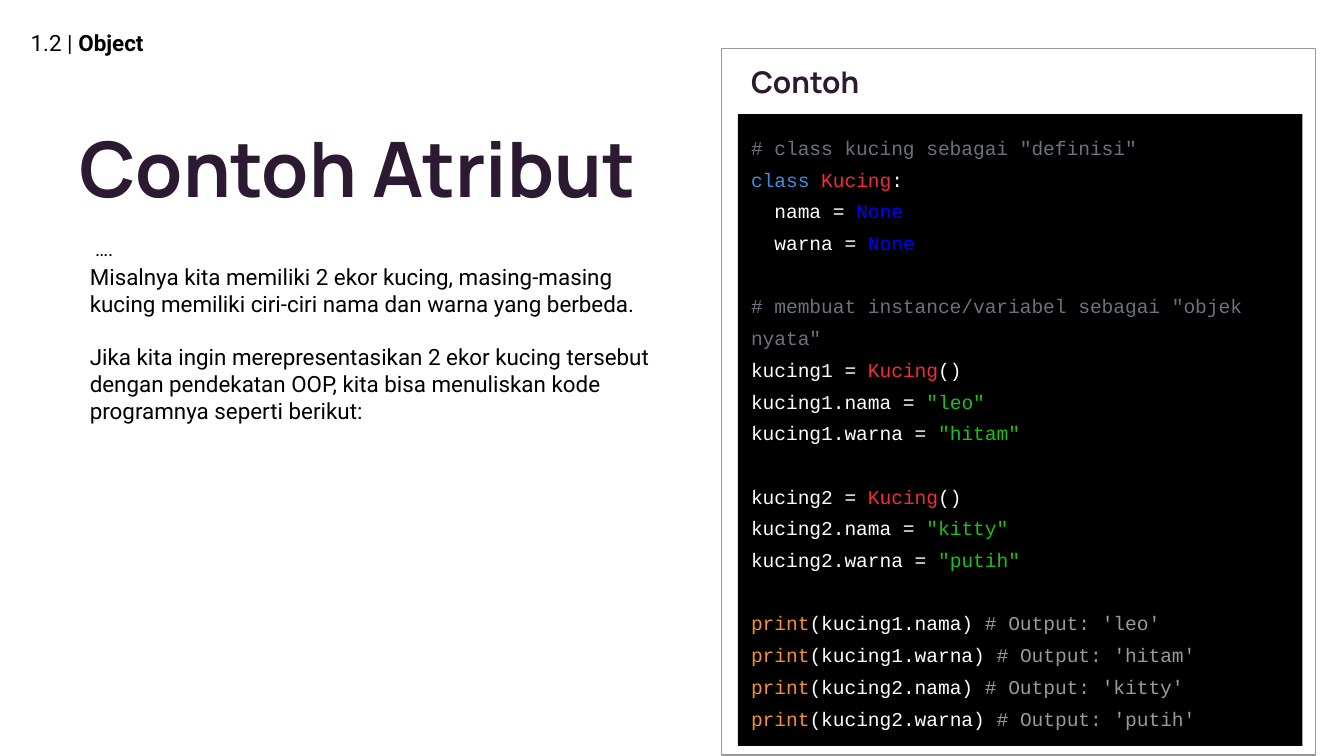
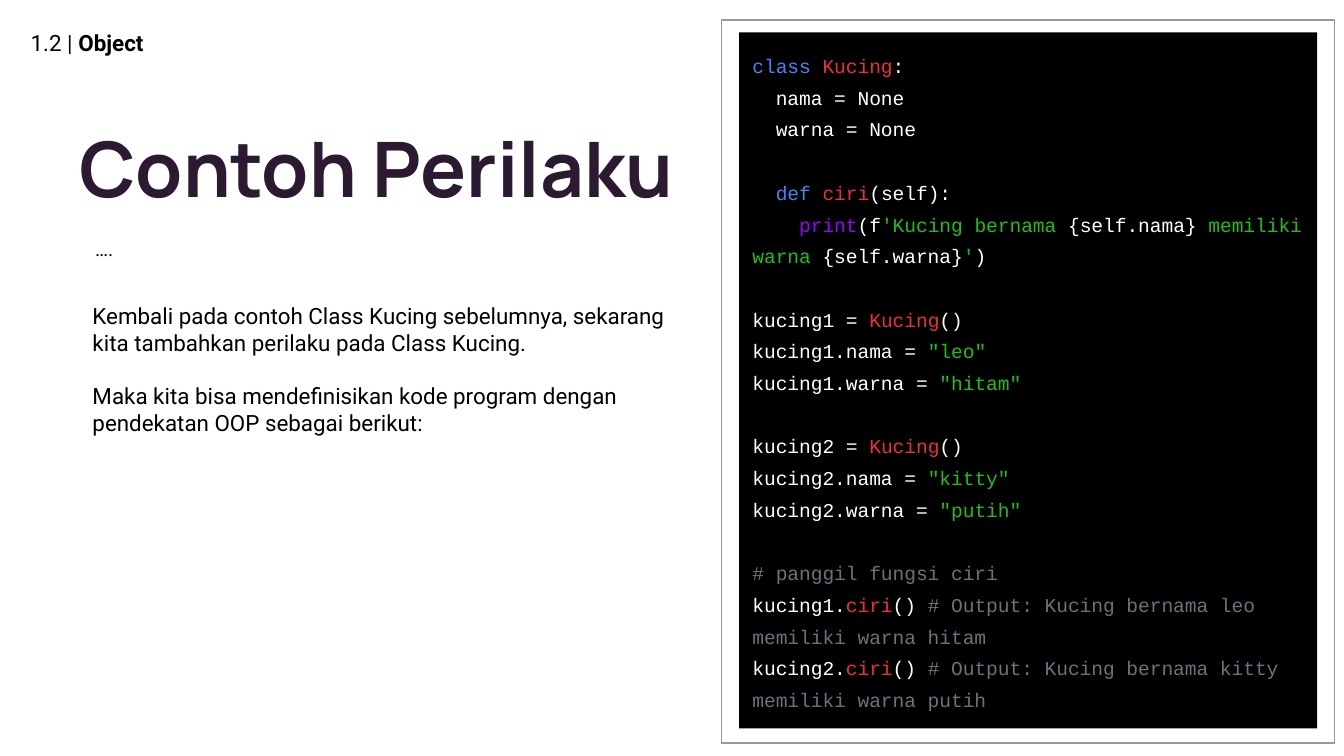
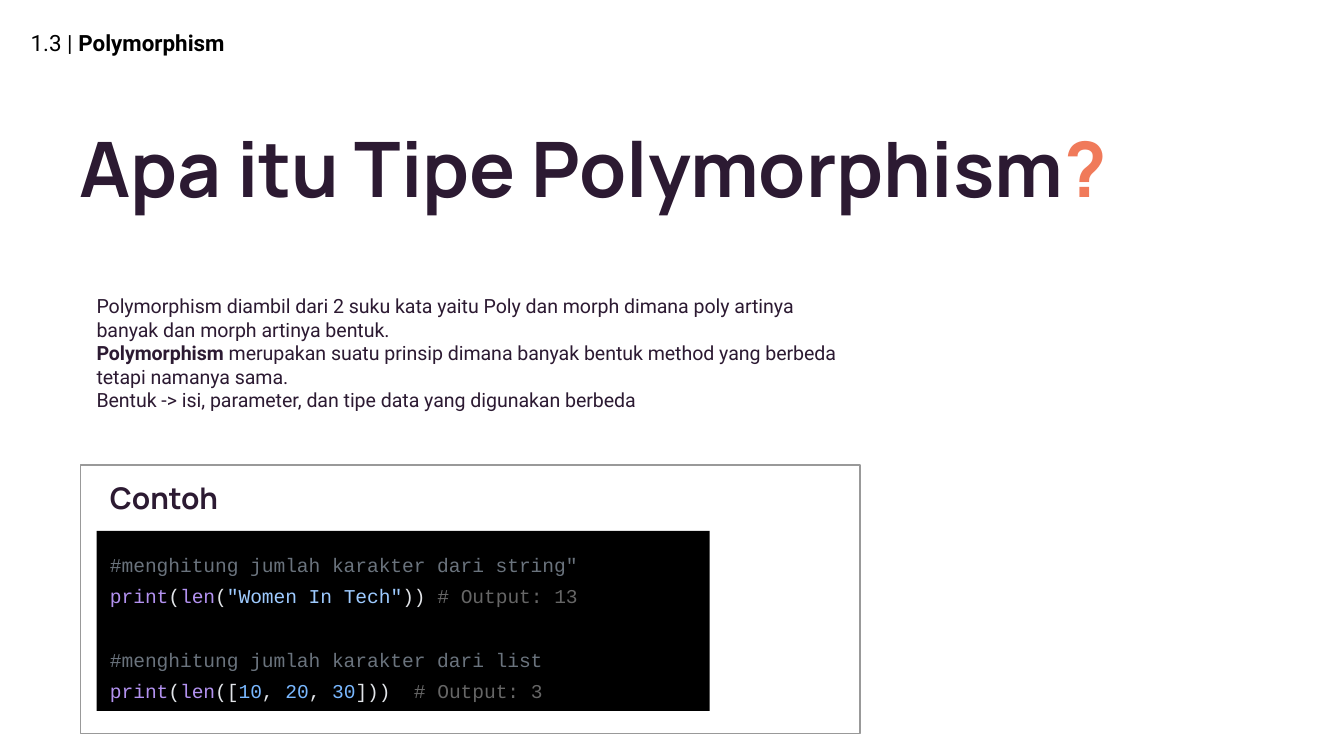
"""Build three lesson slides on objects and polymorphism with code panels."""
from dataclasses import dataclass, field
from typing import NamedTuple

from pptx import Presentation
from pptx import util as u
from pptx.dml.color import RGBColor
from pptx.enum import shapes, text


@dataclass(frozen=True)
class Theme:
    heading_font: str = "Manrope"
    body_font: str = "Roboto"
    code_font: str = "Courier New"
    title_size: float = 41
    panel_size: float = 16
    body_size: float = 12
    small_size: float = 10.5
    heading_spacing: float = 0.8
    code_spacing: float = 1.35
    body_gap: float = 14
    code_gap: float = 17
    ink: str = "2C1A32"
    accent: str = "F07A5A"
    black: str = "000000"
    white: str = "FFFFFF"
    border: str = "999999"
    comment: str = "6A737D"
    output: str = "999999"
    dim_output: str = "666666"
    keyword: str = "428BDD"
    keyword_bright: str = "4285F4"
    name: str = "F22C3D"
    constant: str = "0000FF"
    string: str = "1DC116"
    call: str = "F79323"
    call_violet: str = "9900FF"
    call_lilac: str = "B392F0"
    pale: str = "E1E4E8"
    pale_string: str = "9ECBFF"
    number: str = "79B8FF"


THEME = Theme()


class Span(NamedTuple):
    text: str
    color: str | None = None
    bold: bool = False


class Box(NamedTuple):
    left: float
    top: float
    width: float
    height: float

    def lengths(self) -> list[u.Length]:
        return [u.Inches(value) for value in self]


Line = list[Span]
GAP: Line = []


@dataclass
class Panel:
    frame: Box
    code_box: Box
    code: list[Line]
    heading: str = ""


@dataclass
class Lesson:
    number: str
    topic: str
    title: Line
    title_width: float
    body: list[Line]
    body_box: Box
    panel: Panel
    body_style: dict = field(default_factory=dict)
    lead: str = ""


def write(box, lines: list[Line], *, font: str = THEME.body_font, size: float = THEME.body_size,
          color: str = THEME.black, bold: bool = False, spacing: float | None = None,
          gap: float = THEME.body_gap, align=text.PP_ALIGN.LEFT, anchor=text.MSO_ANCHOR.TOP) -> None:
    """Fill a box with lines of spans; a GAP becomes space before the next line."""
    frame = box.text_frame
    frame.word_wrap = True
    frame.auto_size = text.MSO_AUTO_SIZE.NONE
    frame.vertical_anchor = anchor
    frame.margin_left = frame.margin_right = frame.margin_top = frame.margin_bottom = u.Inches(0.1)
    para, space = None, 0.0
    for line in lines:
        if not line:
            space = gap
            continue
        para = frame.add_paragraph() if para is not None else frame.paragraphs[0]
        para.alignment = align
        para.space_before = u.Pt(space)
        space = 0.0
        if spacing:
            para.line_spacing = spacing
        for part in line:
            span = para.add_run()
            span.text = part.text
            span.font.name = font
            span.font.size = u.Pt(size)
            span.font.bold = bold or part.bold
            span.font.color.rgb = RGBColor.from_string(part.color or color)


def add_text(page, box: Box, lines: list[Line], **style) -> None:
    """Add a text box."""
    write(page.shapes.add_textbox(*box.lengths()), lines, **style)


def add_rectangle(page, box: Box, *, fill: str | None = None, line: str | None = None):
    """Add a flat rectangle."""
    rectangle = page.shapes.add_shape(shapes.MSO_SHAPE.RECTANGLE, *box.lengths())
    rectangle.shadow.inherit = False
    if fill:
        rectangle.fill.solid()
        rectangle.fill.fore_color.rgb = RGBColor.from_string(fill)
    else:
        rectangle.fill.background()
    if line:
        rectangle.line.color.rgb = RGBColor.from_string(line)
        rectangle.line.width = u.Pt(0.75)
    else:
        rectangle.line.fill.background()
    return rectangle


def add_panel(page, panel: Panel) -> None:
    """Add a framed code listing with its optional heading."""
    add_rectangle(page, panel.frame, line=THEME.border)
    if panel.heading:
        heading_box = Box(panel.code_box.left, panel.frame.top, panel.code_box.width, 0.54)
        add_text(page, heading_box, [[Span(panel.heading)]], font=THEME.heading_font,
                 size=THEME.panel_size, color=THEME.ink, bold=True,
                 spacing=THEME.heading_spacing, anchor=text.MSO_ANCHOR.MIDDLE)
    listing = add_rectangle(page, panel.code_box, fill=THEME.black)
    write(listing, panel.code, font=THEME.code_font, size=THEME.small_size, color=THEME.white,
          spacing=THEME.code_spacing, gap=THEME.code_gap)


def add_lesson(deck, lesson: Lesson) -> None:
    """Add one lesson slide."""
    page = deck.slides.add_slide(deck.slide_layouts[5])
    title = page.shapes.title
    title.left, title.top, title.width, title.height = Box(0.49, 0.52, lesson.title_width, 1.57).lengths()
    write(title, [lesson.title], font=THEME.heading_font, size=THEME.title_size, color=THEME.ink,
          bold=True, spacing=THEME.heading_spacing, anchor=text.MSO_ANCHOR.MIDDLE)
    add_text(page, Box(0.13, 0.07, 4.56, 0.5),
             [[Span(f"{lesson.number} |"), Span(f" {lesson.topic}", bold=True)]],
             anchor=text.MSO_ANCHOR.MIDDLE)
    if lesson.lead:
        add_text(page, Box(0.61, 1.66, 5.76, 0.38), [[Span(lesson.lead)]],
                 size=THEME.small_size, align=text.PP_ALIGN.JUSTIFY)
    add_text(page, lesson.body_box, lesson.body, **lesson.body_style)
    add_panel(page, lesson.panel)


def class_line(keyword_color: str) -> Line:
    """Return the line that opens the class."""
    return [Span("class ", keyword_color), Span("Kucing", THEME.name), Span(":")]


def make_cat(variable: str, name: str, coat: str) -> list[Line]:
    """Return the code that creates one cat, followed by a gap."""
    return [
        [Span(f"{variable} = "), Span("Kucing", THEME.name), Span("()")],
        [Span(f"{variable}.nama = "), Span(f'"{name}"', THEME.string)],
        [Span(f"{variable}.warna = "), Span(f'"{coat}"', THEME.string)],
        GAP,
    ]


def print_value(value: str, output: str) -> Line:
    """Return a print call with its output comment."""
    return [Span("print", THEME.call), Span(f"({value}) "),
            Span(f"# Output: '{output}'", THEME.output)]


def call_method(variable: str, output: str) -> Line:
    """Return a method call with its output comment."""
    return [Span(f"{variable}."), Span("ciri", THEME.name), Span("() "),
            Span(f"# Output: {output}", THEME.comment)]


def print_length(argument: Line, closing: str, output: str) -> Line:
    """Return a call that prints a length."""
    return [Span("print", THEME.call_lilac), Span("(", THEME.pale), Span("len", THEME.call_lilac),
            *argument, Span(closing, THEME.pale), Span(f"# Output: {output}", THEME.dim_output)]


CATS = [*make_cat("kucing1", "leo", "hitam"), *make_cat("kucing2", "kitty", "putih")]

ATTRIBUTE_CODE = [
    [Span('# class kucing sebagai "definisi"', THEME.comment)],
    class_line(THEME.keyword),
    *[[Span(f"  {attribute} = "), Span("None", THEME.constant)] for attribute in ("nama", "warna")],
    GAP,
    [Span('# membuat instance/variabel sebagai "objek nyata"', THEME.comment)],
    *CATS,
    print_value("kucing1.nama", "leo"),
    print_value("kucing1.warna", "hitam"),
    print_value("kucing2.nama", "kitty"),
    print_value("kucing2.warna", "putih"),
]

BEHAVIOUR_CODE = [
    class_line(THEME.keyword_bright),
    [Span("  nama = None")],
    [Span("  warna = None")],
    GAP,
    [Span("  "), Span("def ", THEME.keyword_bright), Span("ciri", THEME.name), Span("(self):")],
    [Span("    "), Span("print", THEME.call_violet), Span("(f"),
     Span("'Kucing bernama ", THEME.string), Span("{self.nama}"),
     Span(" memiliki warna ", THEME.string), Span("{self.warna}"),
     Span("'", THEME.string), Span(")")],
    GAP,
    *CATS,
    [Span("# panggil fungsi ciri", THEME.comment)],
    call_method("kucing1", "Kucing bernama leo memiliki warna hitam"),
    call_method("kucing2", "Kucing bernama kitty memiliki warna putih"),
]

LENGTH_CODE = [
    [Span('#menghitung jumlah karakter dari string"', THEME.comment)],
    print_length([Span("(", THEME.pale), Span('"Women In Tech"', THEME.pale_string)], ")) ", "13"),
    GAP,
    [Span("#menghitung jumlah karakter dari list", THEME.comment)],
    print_length([Span("([", THEME.pale), Span("10", THEME.number), Span(", ", THEME.pale),
                  Span("20", THEME.number), Span(", ", THEME.pale), Span("30", THEME.number)],
                 "]))  ", "3"),
]

LESSONS = [
    Lesson(
        "1.2", "Object", [Span("Contoh Atribut")], 7.6,
        [[Span("Misalnya kita memiliki 2 ekor kucing, masing-masing kucing memiliki "
               "ciri-ciri nama dan warna yang berbeda.")],
         GAP,
         [Span("Jika kita ingin merepresentasikan 2 ekor kucing tersebut dengan pendekatan OOP, "
               "kita bisa menuliskan kode programnya seperti berikut:")]],
        Box(0.57, 1.86, 4.56, 1.41),
        Panel(Box(5.37, 0.36, 4.42, 5.26), Box(5.49, 0.85, 4.2, 4.7), ATTRIBUTE_CODE, "Contoh"),
        lead="….",
    ),
    Lesson(
        "1.2", "Object", [Span("Contoh Perilaku")], 4.77,
        [[Span("Kembali pada contoh Class Kucing sebelumnya, sekarang kita tambahkan perilaku "
               "pada Class Kucing.")],
         GAP,
         [Span("Maka kita bisa mendefinisikan kode program dengan pendekatan OOP "
               "sebagai berikut:")]],
        Box(0.59, 2.15, 4.56, 1.62),
        Panel(Box(5.37, 0.15, 4.56, 5.38), Box(5.5, 0.24, 4.3, 5.18), BEHAVIOUR_CODE),
        lead="….",
    ),
    Lesson(
        "1.3", "Polymorphism", [Span("Apa itu Tipe Polymorphism"), Span("?", THEME.accent)], 8.83,
        [[Span("Polymorphism diambil dari 2 suku kata yaitu Poly dan morph dimana poly artinya "
               "banyak dan morph artinya bentuk.")],
         [Span("Polymorphism", bold=True),
          Span(" merupakan suatu prinsip dimana banyak bentuk method yang berbeda "
               "tetapi namanya sama.")],
         [Span("Bentuk -> isi, parameter, dan tipe data yang digunakan berbeda")]],
        Box(0.62, 2.09, 5.76, 1.26),
        Panel(Box(0.6, 3.46, 5.8, 2), Box(0.72, 3.95, 4.56, 1.34), LENGTH_CODE, "Contoh"),
        body_style={"size": THEME.small_size, "color": THEME.ink},
    ),
]


def main() -> None:
    """Build and save the deck in 16:9."""
    deck = Presentation()
    deck.slide_width = u.Inches(10)
    deck.slide_height = deck.slide_width * 9 // 16
    for lesson in LESSONS:
        add_lesson(deck, lesson)
    deck.save("out.pptx")


if __name__ == "__main__":
    main()
